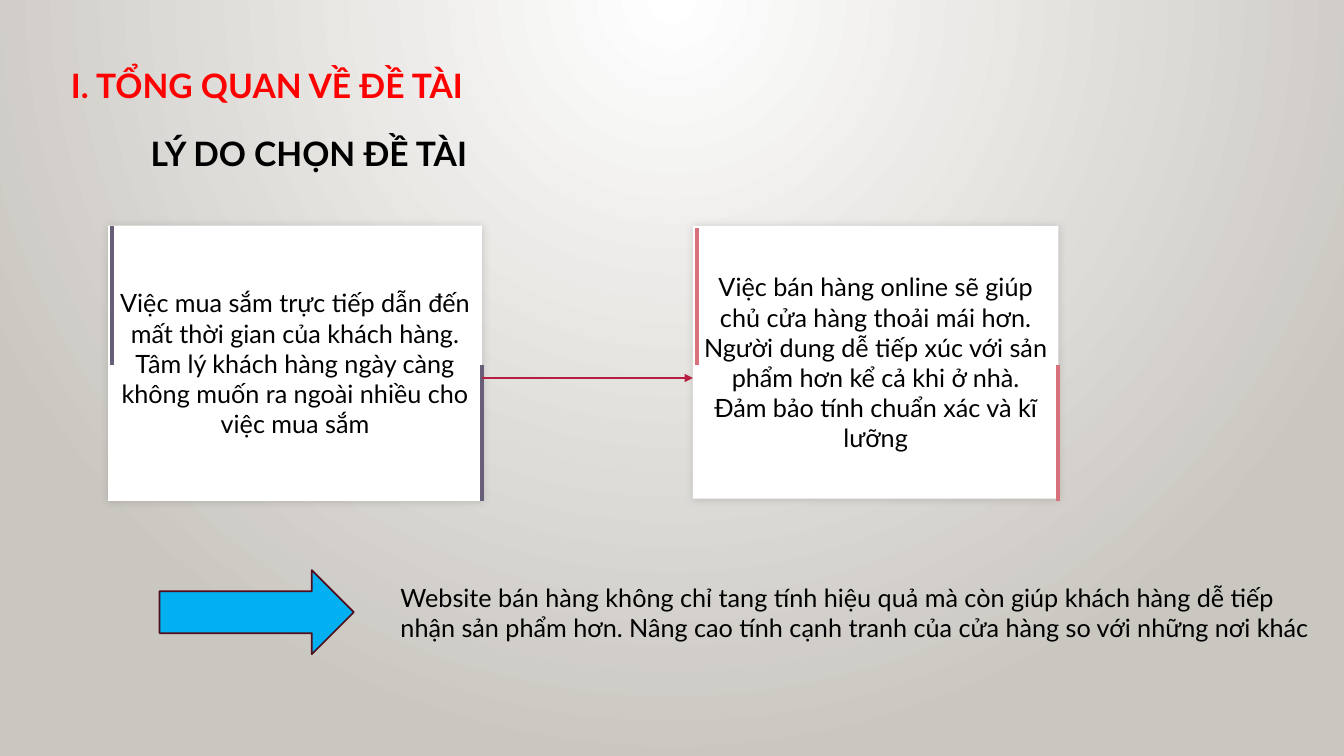
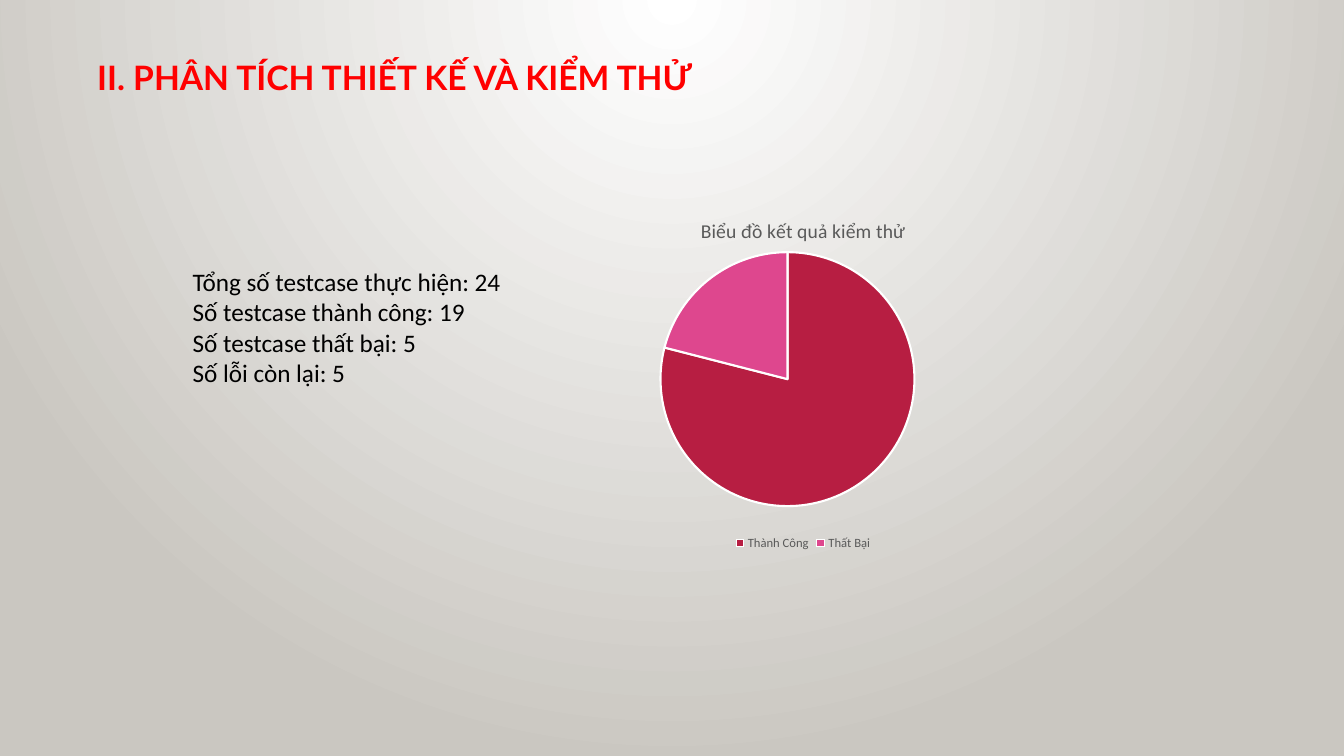
from lxml import etree
from pptx import Presentation
from pptx.chart.data import CategoryChartData
from pptx.dml.color import RGBColor
from pptx.enum.chart import XL_CHART_TYPE, XL_LEGEND_POSITION
from pptx.enum.shapes import MSO_CONNECTOR, MSO_SHAPE
from pptx.enum.text import MSO_ANCHOR, MSO_AUTO_SIZE, PP_ALIGN
from pptx.oxml import parse_xml
from pptx.oxml.ns import nsdecls, qn
from pptx.util import Pt

PX = 9525  # EMU per px, slide of 1280 x 720 px

BLACK = RGBColor(0x00, 0x00, 0x00)
WHITE = RGBColor(0xFF, 0xFF, 0xFF)
STONE = RGBColor(0xCA, 0xC7, 0xC1)
RED = RGBColor(0xFF, 0x00, 0x00)
CRIMSON = RGBColor(0xB7, 0x1E, 0x42)
MAROON = RGBColor(0x50, 0x0D, 0x1D)
PINK = RGBColor(0xDE, 0x47, 0x8E)
ROSE = RGBColor(0xD8, 0x71, 0x7B)
PURPLE = RGBColor(0x69, 0x5E, 0x78)
BLUE = RGBColor(0x00, 0xB0, 0xF0)
GRAY = RGBColor(0x59, 0x59, 0x59)

HEADING = dict(size=24, bold=True)
CARD_SHADOW = f"""<a:effectLst {nsdecls("a")}>
  <a:outerShdw blurRad="76200" dist="0" dir="0" algn="ctr" rotWithShape="0">
    <a:srgbClr val="3F3F3F"><a:alpha val="20000"/></a:srgbClr>
  </a:outerShdw>
</a:effectLst>"""


def write(sp, text, size=18, font="Lato", color=BLACK, bold=False,
          align=PP_ALIGN.LEFT, anchor=MSO_ANCHOR.TOP, wrap=False):
    """Fill a shape with text, one paragraph per line."""
    tf = sp.text_frame
    tf.text = text
    tf.word_wrap = wrap
    tf.auto_size = MSO_AUTO_SIZE.NONE
    tf.vertical_anchor = anchor
    for p in tf.paragraphs:
        p.alignment = align
        for r in p.runs:
            r.font.size = Pt(size)
            r.font.name = font
            r.font.bold = bold
            r.font.color.rgb = color


def add_line(shapes, x1, y1, x2, y2, color, width):
    line = shapes.add_connector(MSO_CONNECTOR.STRAIGHT,
                                x1 * PX, y1 * PX, x2 * PX, y2 * PX)
    line.line.color.rgb = color
    line.line.width = Pt(width)
    etree.SubElement(line.element.spPr, qn("a:effectLst"))
    return line


prs = Presentation()
prs.slide_width, prs.slide_height = 1280 * PX, 720 * PX

# Shared background: radial glow from the top centre
master = prs.slide_master
fill = master.background.fill
fill.gradient()
for stop, position, color in zip(fill.gradient_stops, (0, 1), (WHITE, STONE)):
    stop.position = position
    stop.color.rgb = color
grad = master.element.find(".//" + qn("a:gradFill"))
grad.replace(grad.find(qn("a:lin")), parse_xml(
    f'<a:path {nsdecls("a")} path="circle">'
    '<a:fillToRect l="43000" t="0" r="43000" b="100000"/></a:path>'))

# Slides and their titles
slides = []
for text, x, y, w in (
    ("I. TỔNG QUAN VỀ ĐỀ TÀI", 58, 57, 400),
    ("II. PHÂN TÍCH THIẾT KẾ VÀ KIỂM THỬ", 83, 49, 598),
):
    s = prs.slides.add_slide(prs.slide_layouts[5])
    title = s.shapes.title
    title.left, title.top, title.width, title.height = x * PX, y * PX, w * PX, 48 * PX
    write(title, text, color=RED, **HEADING)
    slides.append(s)
reasons, testing = slides

# Text boxes
for s, x, y, w, h, text, style in (
    (reasons, 134, 122, 324, 48, "LÝ DO CHỌN ĐỀ TÀI", HEADING),
    (reasons, 372, 550, 904, 68,
     "Website bán hàng không chỉ tang tính hiệu quả mà còn giúp khách hàng dễ tiếp\n"
     "nhận sản phẩm hơn. Nâng cao tính cạnh tranh của cửa hàng so với những nơi khác", {}),
    (testing, 174, 249, 318, 126,
     "Tổng số testcase thực hiện: 24\n"
     "Số testcase thành công: 19\n"
     "Số testcase thất bại: 5\n"
     "Số lỗi còn lại: 5", dict(font="Calibri")),
):
    write(s.shapes.add_textbox(x * PX, y * PX, w * PX, h * PX), text, **style)

# Cards with an accent bar at the upper left and the lower right
CARD_TOP, BAR_MIDDLE, BAR_BOTTOM = 215, 348, 477
for x, w, h, color, text in (
    (103, 356, 262, PURPLE,
     "Việc mua sắm trực tiếp dẫn đến mất thời gian của khách hàng. "
     "Tâm lý khách hàng ngày càng không muốn ra ngoài nhiều cho việc mua sắm"),
    (660, 348, 260, ROSE,
     "Việc bán hàng online sẽ giúp chủ cửa hàng thoải mái hơn. "
     "Người dung dễ tiếp xúc với sản phẩm hơn kể cả khi ở nhà. "
     "Đảm bảo tính chuẩn xác và kĩ lưỡng"),
):
    group = reasons.shapes.add_group_shape()
    card = group.shapes.add_shape(MSO_SHAPE.RECTANGLE,
                                  x * PX, CARD_TOP * PX, w * PX, h * PX)
    card.fill.solid()
    card.fill.fore_color.rgb = WHITE
    card.line.fill.background()
    card.element.spPr.append(parse_xml(CARD_SHADOW))
    write(card, text, align=PP_ALIGN.CENTER, anchor=MSO_ANCHOR.MIDDLE, wrap=True)
    bar_top = BAR_BOTTOM - h
    add_line(group.shapes, x + 4, bar_top, x + 4, BAR_MIDDLE, color, 3)
    add_line(group.shapes, x + w, BAR_BOTTOM, x + w, BAR_MIDDLE, color, 3)

link = add_line(reasons.shapes, 459, 360, 660, 360, CRIMSON, 0.75)
etree.SubElement(link.line._get_or_add_ln(), qn("a:tailEnd"), type="triangle")

arrow = reasons.shapes.add_shape(MSO_SHAPE.RIGHT_ARROW,
                                 152 * PX, 543 * PX, 185 * PX, 80 * PX)
arrow.shadow.inherit = False
arrow.fill.solid()
arrow.fill.fore_color.rgb = BLUE
arrow.line.color.rgb = MAROON
arrow.line.width = Pt(1.25)

# Pie chart of test results
data = CategoryChartData()
data.categories = ["Thành Công", "Thất Bại"]
data.add_series("Biểu đồ kết quả kiểm thử", (79, 21))
chart = testing.shapes.add_chart(XL_CHART_TYPE.PIE, 477 * PX, 192 * PX,
                                 576 * PX, 336 * PX, data).chart
chart.font.name = "Calibri"
chart.font.size = Pt(10)
chart.font.color.rgb = BLACK

chart.has_title = True
write(chart.chart_title, "Biểu đồ kết quả kiểm thử", size=14, font="Calibri",
      color=GRAY, align=PP_ALIGN.CENTER)

chart.has_legend = True
legend = chart.legend
legend.position = XL_LEGEND_POSITION.BOTTOM
legend.include_in_layout = False
legend.font.name = "Calibri"
legend.font.size = Pt(9)
legend.font.color.rgb = GRAY

plot = chart.plots[0]
plot.vary_by_categories = True
for i, color in enumerate((CRIMSON, PINK)):
    slice_format = plot.series[0].points[i].format
    slice_format.fill.solid()
    slice_format.fill.fore_color.rgb = color
    slice_format.line.color.rgb = WHITE
    slice_format.line.width = Pt(1.5)

plot_area = chart.element.find(".//" + qn("c:plotArea"))
for old in plot_area.findall(qn("c:layout")):
    plot_area.remove(old)
plot_area.insert(0, parse_xml(
    f'<c:layout {nsdecls("c")}><c:manualLayout><c:layoutTarget val="inner"/>'
    '<c:xMode val="edge"/><c:yMode val="edge"/><c:x val="0.264"/><c:y val="0.143"/>'
    '<c:w val="0.42"/><c:h val="0.721"/></c:manualLayout></c:layout>'))

prs.save("out.pptx")
